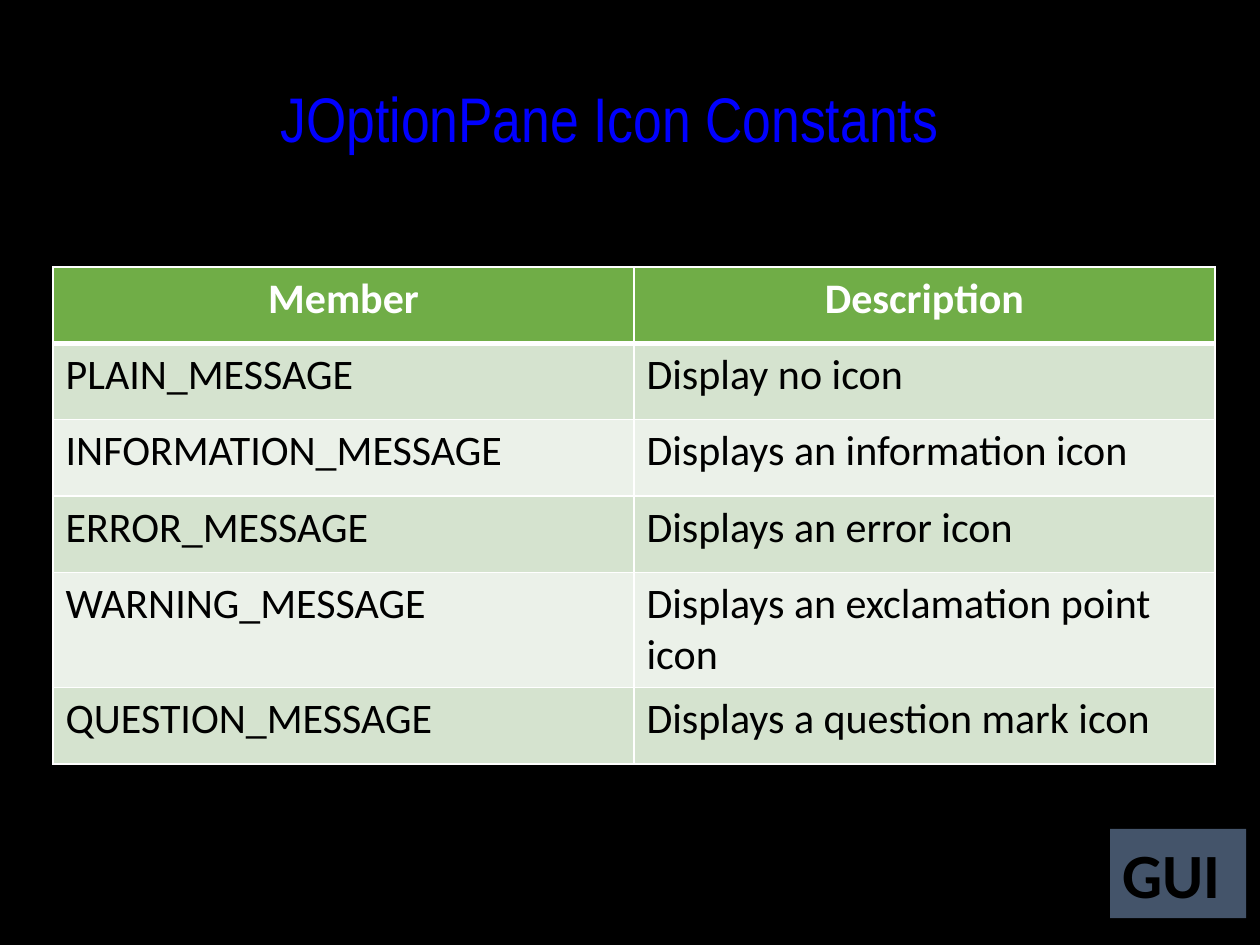
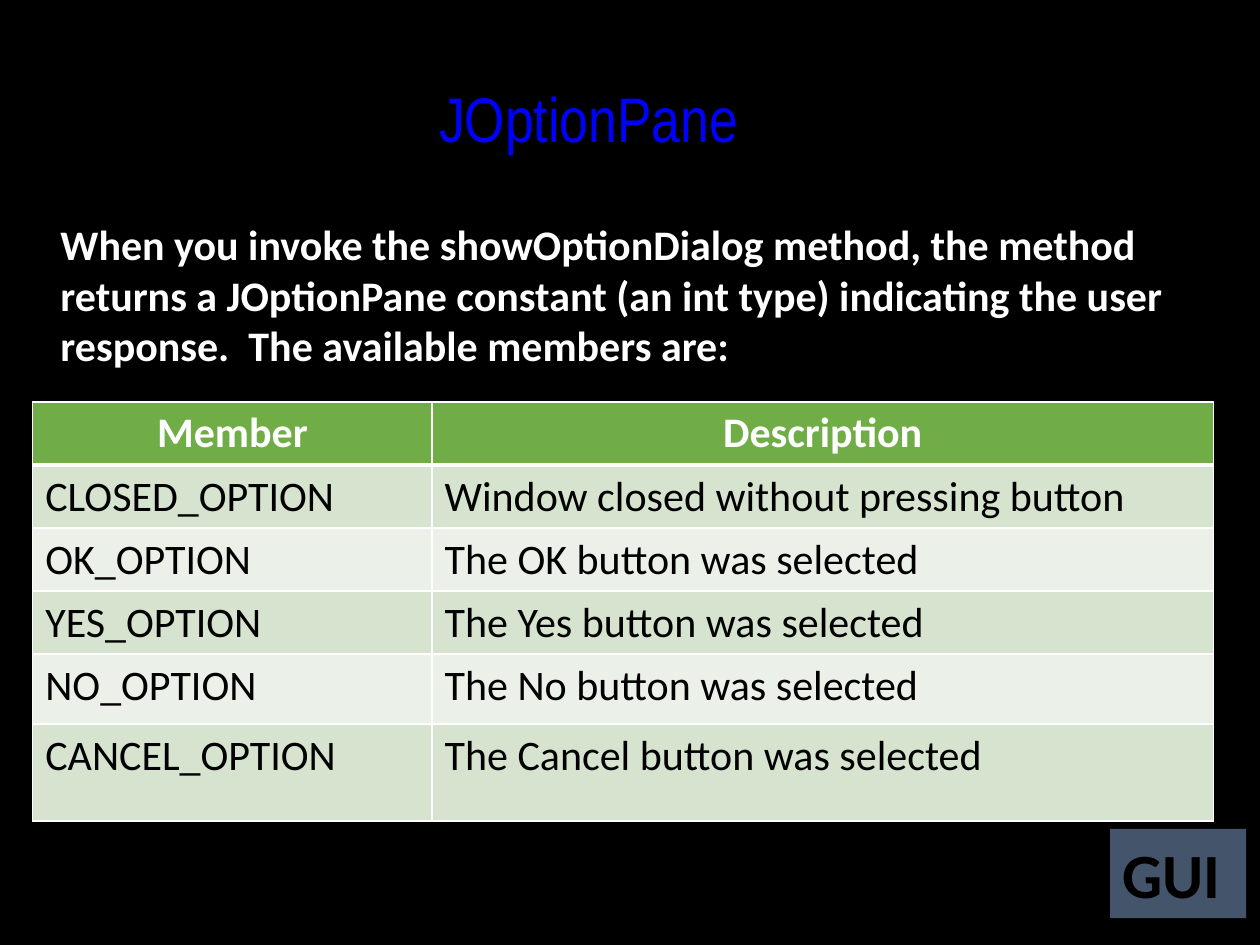
import pptx
import pptx.dml.color
import pptx.enum.shapes
import pptx.enum.text
import pptx.oxml.ns
import pptx.util
from lxml import etree

Cm = pptx.util.Cm
Pt = pptx.util.Pt
RGBColor = pptx.dml.color.RGBColor
ALIGN = pptx.enum.text.PP_ALIGN
qn = pptx.oxml.ns.qn

BLACK = RGBColor(0x00, 0x00, 0x00)
WHITE = RGBColor(0xFF, 0xFF, 0xFF)
BLUE = RGBColor(0x00, 0x00, 0xFF)
YELLOW = RGBColor(0xFF, 0xFF, 0x00)
SLATE = RGBColor(0x44, 0x54, 0x6A)
GREEN = RGBColor(0x70, 0xAD, 0x47)
BANDS = [RGBColor(0xEB, 0xF1, 0xE9), RGBColor(0xD5, 0xE3, 0xCF)]

TITLE_FONT = "Arial Narrow"
BODY_FONT = "Calibri"
HEADINGS = ("Member", "Description")

SLIDES = [
    {
        "title": "JOptionPane Icon Constants",
        "title_box": (2.34, 1.47, 19.89, 2.11),
        "intro": None,
        "table_at": (1.07, 5.38),
        "columns": (11.71, 11.71),
        "rows": (1.54, 1.54, 1.54, 1.54, 2.28, 1.54),
        "members": [
            ("PLAIN_MESSAGE", "Display no icon"),
            ("INFORMATION_MESSAGE", "Displays an information icon"),
            ("ERROR_MESSAGE", "Displays an error icon"),
            ("WARNING_MESSAGE", "Displays an exclamation point icon"),
            ("QUESTION_MESSAGE", "Displays a question mark icon"),
        ],
    },
    {
        "title": "JOptionPane",
        "title_box": (3.61, 1.47, 16.51, 2.34),
        "intro": "When you invoke the showOptionDialog method, the method "
                 "returns a JOptionPane constant (an int type) indicating the "
                 "user response.  The available members are:",
        "table_at": (0.66, 8.1),
        "columns": (8.05, 15.75),
        "rows": (1.27, 1.27, 1.27, 1.27, 1.41, 1.96),
        "members": [
            ("CLOSED_OPTION", "Window closed without pressing button"),
            ("OK_OPTION", "The OK button was selected"),
            ("YES_OPTION", "The Yes button was selected"),
            ("NO_OPTION", "The No button was selected"),
            ("CANCEL_OPTION", "The Cancel button was selected"),
        ],
    },
]


def write(frame, text, size, color, bold=False, font=BODY_FONT, align=ALIGN.LEFT):
    """Put one formatted run in the first paragraph and return the run."""
    paragraph = frame.paragraphs[0]
    paragraph.alignment = align
    run = paragraph.add_run()
    run.text = text
    run.font.name = font
    run.font.size = Pt(size)
    run.font.bold = bold
    run.font.color.rgb = color
    return run


def add_line(parent, tag, width, color):
    """Return a new solid line element of the given tag under parent."""
    line = etree.SubElement(parent, qn(tag), w=str(Pt(width)))
    fill = etree.SubElement(line, qn("a:solidFill"))
    etree.SubElement(fill, qn("a:srgbClr"), val=str(color))
    return line


deck = pptx.Presentation()
deck.slide_width = Cm(25.4)
deck.slide_height = Cm(19.05)
background = deck.slide_master.background.fill
background.solid()
background.fore_color.rgb = BLACK
title_only = deck.slide_layouts[5]

for number, content in enumerate(SLIDES):
    slide = deck.slides.add_slide(title_only)

    # The badge is drawn once and moved to the layout both slides share
    if number == 0:
        badge = slide.shapes.add_shape(
            pptx.enum.shapes.MSO_SHAPE.RECTANGLE,
            Cm(22.38), Cm(16.71), Cm(2.74), Cm(1.8))
        badge.shadow.inherit = False
        badge.fill.solid()
        badge.fill.fore_color.rgb = SLATE
        badge.line.fill.background()
        badge.text_frame.vertical_anchor = pptx.enum.text.MSO_ANCHOR.TOP
        write(badge.text_frame, "GUI", 36, BLACK, bold=True)
        badge.element.nvSpPr.cNvPr.set("id", "20")
        title_only.shapes.element.append(badge.element)

    # Title
    title = slide.shapes.title
    title.left, title.top, title.width, title.height = map(Cm, content["title_box"])
    title.text_frame.word_wrap = False
    title.text_frame.auto_size = pptx.enum.text.MSO_AUTO_SIZE.NONE
    title.text_frame.vertical_anchor = pptx.enum.text.MSO_ANCHOR.TOP
    heading = write(title.text_frame, content["title"], 36, BLUE,
                    font=TITLE_FONT, align=ALIGN.CENTER)
    properties = heading.font.fill._xPr
    properties.insert(0, add_line(properties, "a:ln", 0.75, YELLOW))

    # Introduction
    if content["intro"]:
        intro = slide.shapes.add_textbox(Cm(0.97), Cm(4.29), Cm(23.22), Cm(3.33))
        intro.text_frame.word_wrap = True
        write(intro.text_frame, content["intro"], 24, WHITE, bold=True)

    # Table of members
    left, top = content["table_at"]
    members = slide.shapes.add_table(
        len(content["rows"]), len(HEADINGS), Cm(left), Cm(top),
        Cm(sum(content["columns"])), Cm(sum(content["rows"]))).table
    for column, width in zip(members.columns, content["columns"]):
        column.width = Cm(width)
    for row, height in zip(members.rows, content["rows"]):
        row.height = Cm(height)

    for r, entries in enumerate([HEADINGS] + content["members"]):
        is_header = r == 0
        for c, entry in enumerate(entries):
            cell = members.cell(r, c)
            write(cell.text_frame, entry, 24, WHITE if is_header else BLACK,
                  bold=is_header,
                  align=ALIGN.CENTER if is_header else ALIGN.LEFT)
            borders = cell._tc.get_or_add_tcPr()
            add_line(borders, "a:lnL", 1, WHITE)
            add_line(borders, "a:lnR", 1, WHITE)
            add_line(borders, "a:lnT", 3 if r == 1 else 1, WHITE)
            add_line(borders, "a:lnB", 3 if is_header else 1, WHITE)
            cell.fill.solid()
            cell.fill.fore_color.rgb = GREEN if is_header else BANDS[r % 2]

deck.save("out.pptx")
